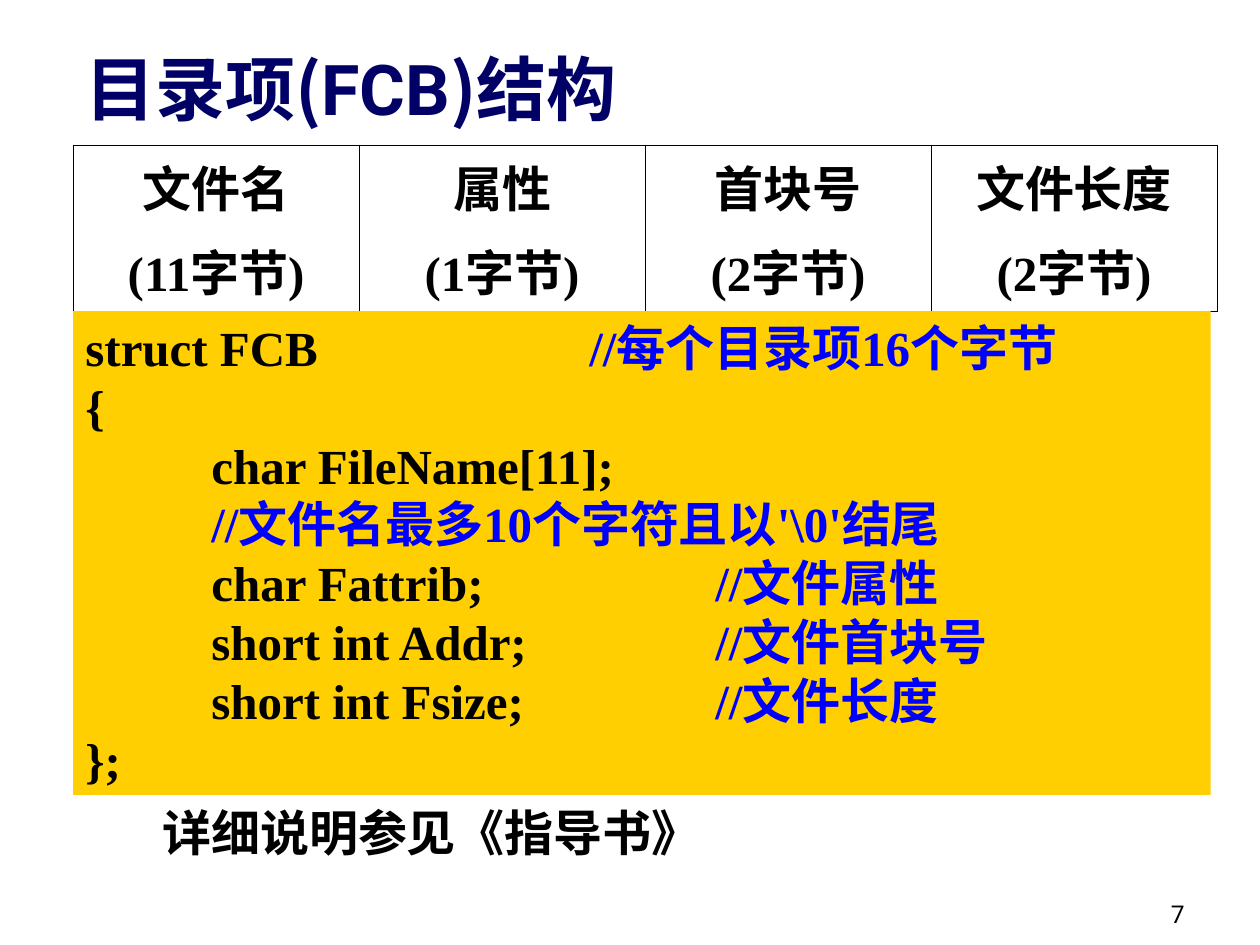
from lxml import etree
from pptx import Presentation
from pptx.dml.color import RGBColor
from pptx.enum.shapes import MSO_SHAPE
from pptx.enum.text import MSO_ANCHOR, PP_ALIGN
from pptx.oxml.ns import qn
from pptx.util import Inches, Pt

RECT = MSO_SHAPE.RECTANGLE
TOP, MIDDLE, BOTTOM = MSO_ANCHOR.TOP, MSO_ANCHOR.MIDDLE, MSO_ANCHOR.BOTTOM
LEFT, CENTER, RIGHT = PP_ALIGN.LEFT, PP_ALIGN.CENTER, PP_ALIGN.RIGHT

COLORS = {
    "text": "000000",
    "title": "000066",
    "comment": "0000FF",
    "code_fill": "FFCF01",
    "white": "FFFFFF",
}
SERIF, SANS, CJK = "Times New Roman", "Roboto", "Noto Sans CJK SC"

FIELDS = [("文件名", "(11字节)"), ("属性", "(1字节)"),
          ("首块号", "(2字节)"), ("文件长度", "(2字节)")]
CODE = [
    ("struct FCB\t\t\t", "//每个目录项16个字节"),
    ("{", ""),
    ("\tchar FileName[11];", ""),
    ("\t", r"//文件名最多10个字符且以'\0'结尾"),
    ("\tchar Fattrib;\t\t", "//文件属性"),
    ("\tshort int Addr;\t\t", "//文件首块号"),
    ("\tshort int Fsize;\t\t", "//文件长度"),
    ("};", ""),
]


def rgb(name):
    return RGBColor.from_string(COLORS[name])


def add_text(p, text, size=28, font=SERIF, color="text", bold=True):
    r = p.add_run()
    r.text = text
    r.font.size = Pt(size)
    r.font.name = font
    r.font.bold = bold
    r.font.color.rgb = rgb(color)
    etree.SubElement(r._r.get_or_add_rPr(), qn("a:ea"), typeface=CJK)


def add_tabs(p):
    tabs = etree.SubElement(p._p.get_or_add_pPr(), qn("a:tabLst"))
    for inch in range(1, 8):
        etree.SubElement(tabs, qn("a:tab"), pos=str(Inches(inch)), algn="l")


def add_border(cell, side, visible):
    ln = etree.SubElement(cell._tc.get_or_add_tcPr(), qn(f"a:ln{side}"), w=str(Pt(0.45)))
    if visible:
        fill = etree.SubElement(ln, qn("a:solidFill"))
        etree.SubElement(fill, qn("a:srgbClr"), val=COLORS["text"])
    else:
        etree.SubElement(ln, qn("a:noFill"))


class Deck:
    def __init__(self, width, height):
        self.prs = Presentation()
        self.prs.slide_width, self.prs.slide_height = Inches(width), Inches(height)
        self.s = self.prs.slides.add_slide(self.prs.slide_layouts[6])

    def frame(self, sp, anchor):
        tf = sp.text_frame
        tf.word_wrap = True
        tf.vertical_anchor = anchor
        return tf

    def text(self, box, runs, anchor=TOP, align=LEFT, **style):
        sp = self.s.shapes.add_textbox(*map(Inches, box))
        p = self.frame(sp, anchor).paragraphs[0]
        p.alignment = align
        for text, font in runs:
            add_text(p, text, font=font, **style)

    def panel(self, box, fill, lines, font=SERIF):
        sp = self.s.shapes.add_shape(RECT, *map(Inches, box))
        sp.shadow.inherit = False
        sp.fill.solid()
        sp.fill.fore_color.rgb = rgb(fill)
        sp.line.fill.background()
        tf = self.frame(sp, TOP)
        for i, (code, comment) in enumerate(lines):
            p = tf.add_paragraph() if i else tf.paragraphs[0]
            p.alignment = LEFT
            add_tabs(p)
            add_text(p, code, font=font)
            if comment:
                add_text(p, comment, font=font, color="comment")

    def table(self, box, columns):
        n_rows, n_cols = len(columns[0]), len(columns)
        table = self.s.shapes.add_table(n_rows, n_cols, *map(Inches, box)).table
        table.first_row = table.horz_banding = False
        for row in table.rows:
            row.height = Inches(box[3] / n_rows)
        for c, column in enumerate(columns):
            table.columns[c].width = Inches(box[2] / n_cols)
            for r, text in enumerate(column):
                cell = table.cell(r, c)
                cell.vertical_anchor = MIDDLE
                edges = {"L": True, "R": True, "T": r == 0, "B": r == n_rows - 1}
                for side, visible in edges.items():
                    add_border(cell, side, visible)
                cell.fill.background()
                p = cell.text_frame.paragraphs[0]
                p.alignment = CENTER
                add_text(p, text)


def main():
    deck = Deck(10, 7.5)
    deck.text((7.42, 6.92, 2.08, 0.5), [("7", SANS)], BOTTOM, RIGHT, size=14, bold=False)
    title = [("目录项", SANS), ("(", CJK), ("FCB", SANS), (")", CJK), ("结构", SANS)]
    deck.text((0.58, 0.26, 9.06, 0.82), title, BOTTOM, size=40, color="title")
    deck.table((0.58, 1.15, 9.08, 1.32), FIELDS)
    deck.panel((0.58, 2.47, 9.03, 3.84), "code_fill", CODE)
    deck.panel((1.19, 6.32, 8.01, 0.57), "white", [("详细说明参见《指导书》", "")], SANS)
    deck.prs.save("out.pptx")


if __name__ == "__main__":
    main()
